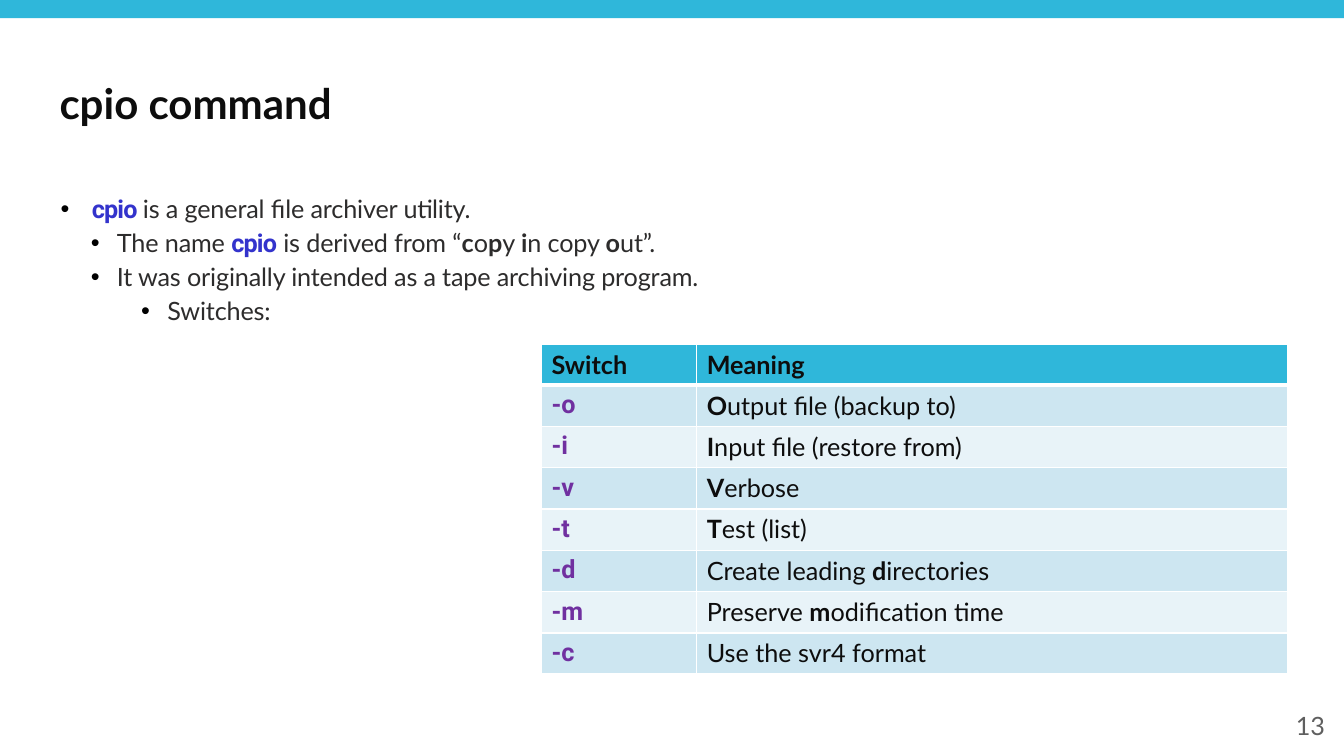
"""Build the slide that explains the cpio command and its switches."""
from dataclasses import dataclass

from lxml.etree import SubElement
from pptx import Presentation
from pptx.dml.color import RGBColor
from pptx.enum.shapes import MSO_SHAPE
from pptx.enum.text import MSO_ANCHOR, MSO_AUTO_SIZE, PP_ALIGN
from pptx.oxml.ns import qn
from pptx.util import Inches, Pt

ACCENT, INK, WHITE = "2FB7DA", "0D0D0D", "FFFFFF"
BANDS = ("CDE6F1", "E8F3F8")


@dataclass(frozen=True)
class Style:
    color: str
    bold: bool = False
    font: str = "Lato"
    size: int = 18
    spacing: float = 0


@dataclass(frozen=True)
class Bullet:
    level: int
    margin: float
    hanging: float
    space_before: float
    spans: list


TITLE = Style(INK, True, size=30)
BODY = Style("2D2C2C", spacing=-0.1)
BODY_BOLD = Style("2D2C2C", True, spacing=-0.1)
COMMAND = Style("3333CC", True, "Roboto", spacing=-0.6)
PLAIN, STRONG = Style(INK), Style(INK, True)
SWITCH = Style("7030A0", True, "Roboto")
PAGE = Style("5F5F5F")


def emphasize(text: str, plain: Style, strong: Style) -> list:
    """Split text at bars, with every second piece strong."""
    pieces = enumerate(text.split("|"))
    return [(piece, strong if i % 2 else plain) for i, piece in pieces if piece]


BULLETS = [
    Bullet(0, 0.32, 0.31, 0,
           [("cpio ", COMMAND), ("is a general file archiver utility.", BODY)]),
    Bullet(1, 0.57, 0.26, 4.9,
           [("The name ", BODY), ("cpio", COMMAND),
            *emphasize(" is derived from “|c|o|p|y |i|n copy |o|ut”.", BODY, BODY_BOLD)]),
    Bullet(1, 0.57, 0.26, 4.9,
           [("It was originally intended as a tape archiving program.", BODY)]),
    Bullet(2, 1.07, 0.26, 4.9, [("Switches:", BODY)]),
]
SWITCHES = [
    ("-o", "|O|utput file (backup to)"),
    ("-i", "|I|nput file (restore from)"),
    ("-v", "|V|erbose"),
    ("-t", "|T|est (list)"),
    ("-d", "Create leading |d|irectories"),
    ("-m", "Preserve |m|odification time"),
    ("-c", "Use the svr4 format"),
]


def rgb(color: str) -> RGBColor:
    """Turn a hex string into a colour."""
    return RGBColor.from_string(color)


def write(paragraph, spans: list) -> None:
    """Add each styled span to the paragraph as a run."""
    for text, style in spans:
        run = paragraph.add_run()
        run.text = text
        font = run.font
        font.name, font.size, font.bold = style.font, Pt(style.size), style.bold
        font.color.rgb = rgb(style.color)
        if style.spacing:
            run._r.get_or_add_rPr().set("spc", str(round(style.spacing * 100)))


def place(shape, left: float, top: float, width: float, height: float) -> None:
    """Move and size a shape, with lengths in inches."""
    shape.left, shape.top = Inches(left), Inches(top)
    shape.width, shape.height = Inches(width), Inches(height)


def add_bullet(paragraph, bullet: Bullet) -> None:
    """Format the paragraph as a bullet and write its text."""
    paragraph.level = bullet.level
    properties = paragraph._p.get_or_add_pPr()
    properties.set("marL", str(Inches(bullet.margin)))
    properties.set("indent", str(-Inches(bullet.hanging)))
    SubElement(SubElement(properties, qn("a:buClr")), qn("a:srgbClr"), val="000000")
    SubElement(properties, qn("a:buFont"), typeface="Arial")
    SubElement(properties, qn("a:buChar"), char="•")
    paragraph.line_spacing = 0.9
    paragraph.space_before = Pt(bullet.space_before)
    write(paragraph, bullet.spans)


def fill_cell(cell, spans: list, color: str, top: int = 1, bottom: int = 1) -> None:
    """Write a cell and give it white borders and a fill."""
    write(cell.text_frame.paragraphs[0], spans)
    properties = cell._tc.get_or_add_tcPr()
    for side, width in (("L", 1), ("R", 1), ("T", top), ("B", bottom)):
        line = SubElement(properties, qn(f"a:ln{side}"), w=str(Pt(width)))
        SubElement(SubElement(line, qn("a:solidFill")), qn("a:srgbClr"), val=WHITE)
    cell.fill.solid()
    cell.fill.fore_color.rgb = rgb(color)


def add_switch_table(slide) -> None:
    """Draw the table of switches and their meanings."""
    table = slide.shapes.add_table(
        len(SWITCHES) + 1, 2, Inches(5.37), Inches(3.42), Inches(7.4), Inches(3.23)
    ).table
    for column, width in zip(table.columns, (1.54, 5.86)):
        column.width = Inches(width)
    for row in table.rows:
        row.height = Inches(0.41)
    table.rows[0].height = Inches(0.39)
    table.rows[len(SWITCHES)].height = Inches(0.4)
    for column, heading in enumerate(("Switch", "Meaning")):
        fill_cell(table.cell(0, column), [(heading, STRONG)], ACCENT, bottom=3)
    for row, (switch, meaning) in enumerate(SWITCHES, 1):
        band, top = BANDS[(row - 1) % 2], 3 if row == 1 else 1
        fill_cell(table.cell(row, 0), [(switch, SWITCH)], band, top)
        fill_cell(table.cell(row, 1), emphasize(meaning, PLAIN, STRONG), band, top)


def main() -> None:
    """Build and save the slide."""
    deck = Presentation()
    deck.slide_width, deck.slide_height = Inches(13.33), Inches(7.5)
    slide = deck.slides.add_slide(deck.slide_layouts[1])

    top_bar = slide.shapes.add_shape(MSO_SHAPE.RECTANGLE, 0, 0, deck.slide_width, Inches(0.18))
    top_bar.shadow.inherit = False
    top_bar.fill.solid()
    top_bar.fill.fore_color.rgb = rgb(ACCENT)
    top_bar.line.fill.background()

    title = slide.shapes.title
    place(title, 0.49, 0.55, 12.36, 0.94)
    title.text_frame.auto_size = MSO_AUTO_SIZE.NONE
    title.text_frame.vertical_anchor = MSO_ANCHOR.MIDDLE
    heading = title.text_frame.paragraphs[0]
    heading.alignment = PP_ALIGN.LEFT
    write(heading, [("cpio command", TITLE)])

    summary = slide.placeholders[1]
    place(summary, 0.49, 1.9, 12.36, 4.76)
    summary.text_frame.auto_size = MSO_AUTO_SIZE.NONE
    for i, bullet in enumerate(BULLETS):
        frame = summary.text_frame
        add_bullet(frame.add_paragraph() if i else frame.paragraphs[0], bullet)

    page_number = slide.shapes.add_textbox(Inches(10.24), Inches(7), Inches(3), Inches(0.4))
    page_number.text_frame.word_wrap = True
    page_number.text_frame.vertical_anchor = MSO_ANCHOR.MIDDLE
    number = page_number.text_frame.paragraphs[0]
    number.alignment = PP_ALIGN.RIGHT
    write(number, [("13", PAGE)])

    add_switch_table(slide)
    deck.save("out.pptx")


if __name__ == "__main__":
    main()
